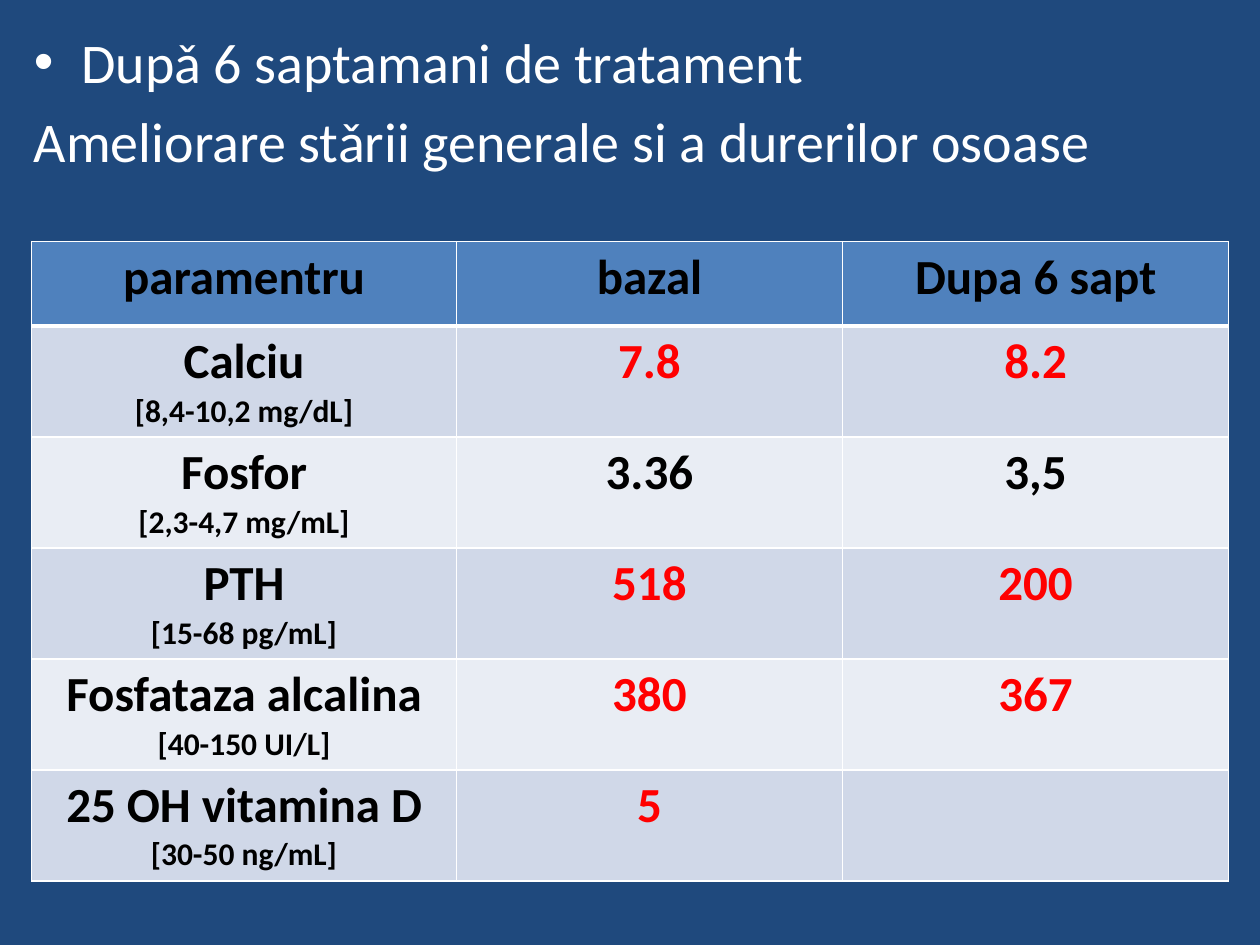
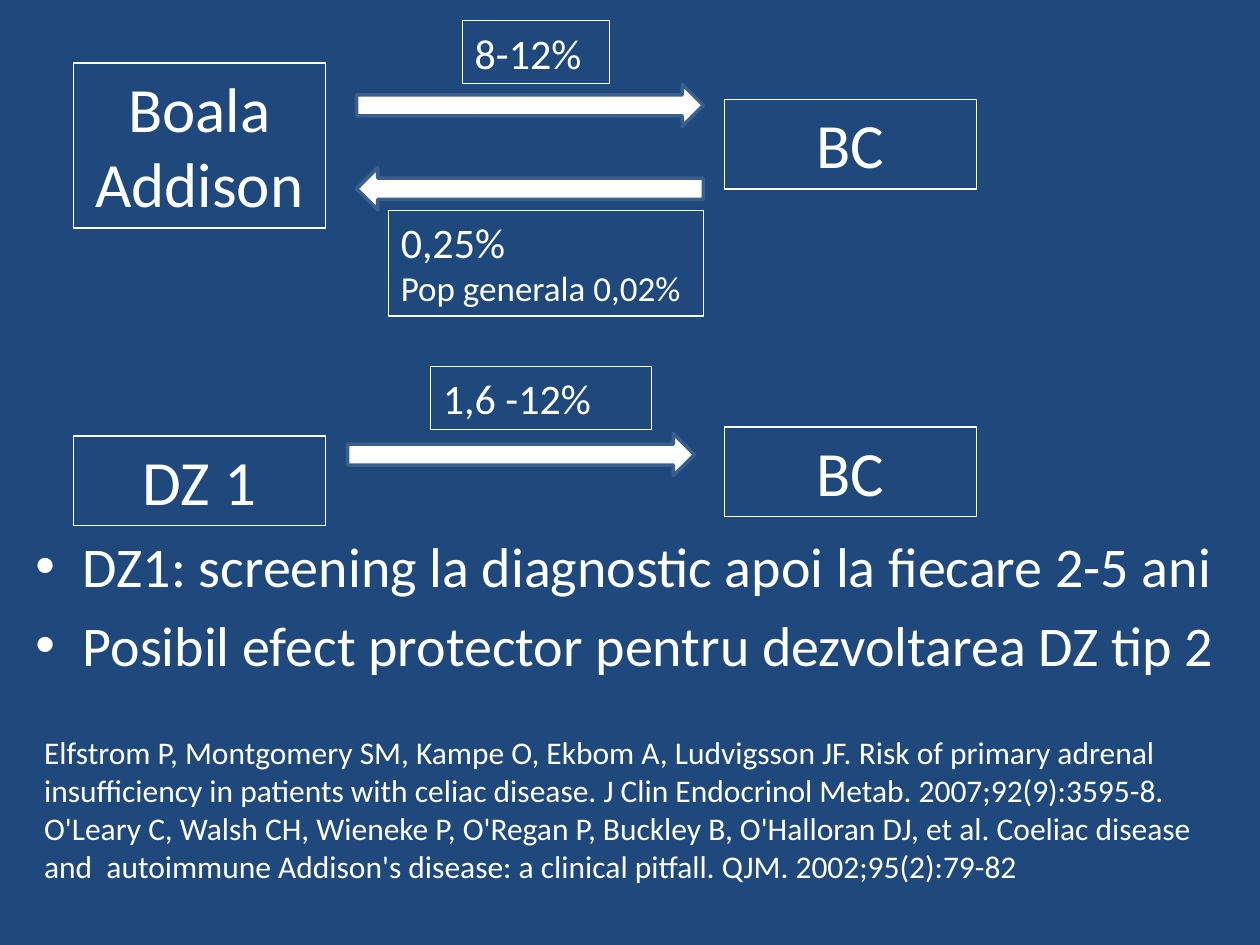
import pptx
import pptx.util
import pptx.dml.color
import pptx.enum.shapes
import pptx.enum.text
import pptx.oxml
import pptx.oxml.ns

Cm, Pt = pptx.util.Cm, pptx.util.Pt
ALIGN = pptx.enum.text.PP_ALIGN
AUTO_SIZE = pptx.enum.text.MSO_AUTO_SIZE

FONT = "Calibri"
NAVY, WHITE, BLACK, RED = "1F497D", "FFFFFF", "000000", "FF0000"
HEADER, BANDS = "4F81BD", ("D0D8E8", "E9EDF4")
ARROW_EDGE = "3A5F8C"

LAB_HEAD = ("paramentru", "bazal", "Dupa 6 sapt")
# Parameter, normal range, baseline, after treatment, colour of the values
LAB_ROWS = (
    ("Calciu", "[8,4-10,2 mg/dL]", "7.8", "8.2", RED),
    ("Fosfor", "[2,3-4,7 mg/mL]", "3.36", "3,5", BLACK),
    ("PTH", "[15-68 pg/mL]", "518", "200", RED),
    ("Fosfataza alcalina", "[40-150 UI/L]", "380", "367", RED),
    ("25 OH vitamina D", "[30-50 ng/mL]", "5", "", RED),
)
REFERENCES = (
    "Elfstrom P, Montgomery SM, Kampe O, Ekbom A, Ludvigsson JF. "
    "Risk of primary adrenal",
    "insufficiency in patients with celiac disease. "
    "J Clin Endocrinol Metab. 2007;92(9):3595-8.",
    "O'Leary C, Walsh CH, Wieneke P, O'Regan P, Buckley B, O'Halloran DJ, et al. "
    "Coeliac disease and  autoimmune Addison's disease: a clinical pitfall. "
    "QJM. 2002;95(2):79-82",
)


def rgb(code):
    return pptx.dml.color.RGBColor.from_string(code)


def write(tf, lines, color=WHITE, bold=None, align=None):
    """Write one paragraph for each (text, size) pair."""
    for i, (text, size) in enumerate(lines):
        p = tf.paragraphs[0] if i == 0 else tf.add_paragraph()
        p.alignment = align
        r = p.add_run()
        r.text = text
        r.font.name = FONT
        r.font.size = Pt(size)
        r.font.bold = bold
        r.font.color.rgb = rgb(color)


def new_slide(prs):
    """Add a slide that keeps only the body placeholder."""
    s = prs.slides.add_slide(prs.slide_layouts[1])
    title = s.shapes.title
    title.element.getparent().remove(title.element)
    return s


def body(s, x, y, w, h, texts, plain=()):
    """Fill the body placeholder; lines numbered in plain get no bullet."""
    sp = s.placeholders[1]
    sp.left, sp.top, sp.width, sp.height = Cm(x), Cm(y), Cm(w), Cm(h)
    tf = sp.text_frame
    tf.auto_size = AUTO_SIZE.NONE
    write(tf, [(text, 32) for text in texts])
    for i in plain:
        pPr = tf.paragraphs[i]._p.get_or_add_pPr()
        pPr.set("marL", "0")
        pPr.set("indent", "0")
        pPr.append(pptx.oxml.parse_xml(
            f'<a:buNone {pptx.oxml.ns.nsdecls("a")}/>'))


def text_box(s, x, y, w, h, lines, align=None, framed=True):
    sp = s.shapes.add_textbox(Cm(x), Cm(y), Cm(w), Cm(h))
    tf = sp.text_frame
    tf.word_wrap = True
    tf.auto_size = AUTO_SIZE.SHAPE_TO_FIT_TEXT
    if framed:
        sp.line.color.rgb = rgb(WHITE)
        sp.line.width = Pt(0.75)
    write(tf, lines, align=align)


def arrow(s, x, y, back=False):
    sp = s.shapes.add_shape(pptx.enum.shapes.MSO_SHAPE.RIGHT_ARROW,
                            Cm(x), Cm(y), Cm(6.99), Cm(0.85))
    sp.shadow.inherit = False
    sp.fill.solid()
    sp.fill.fore_color.rgb = rgb(WHITE)
    sp.line.color.rgb = rgb(ARROW_EDGE)
    sp.line.width = Pt(2)
    sp.rotation = 180 if back else 0


def style_cell(cell, fill, top=1, bottom=1):
    """Fill a cell and draw its white borders, widths in points."""
    cell.fill.solid()
    cell.fill.fore_color.rgb = rgb(fill)
    tcPr = cell._tc.get_or_add_tcPr()
    for i, (side, width) in enumerate(
            (("L", 1), ("R", 1), ("T", top), ("B", bottom))):
        tcPr.insert(i, pptx.oxml.parse_xml(
            f'<a:ln{side} {pptx.oxml.ns.nsdecls("a")} w="{Pt(width)}">'
            f'<a:solidFill><a:srgbClr val="{WHITE}"/></a:solidFill></a:ln{side}>'))


def lab_table(s, x, y, w, h):
    head_h, first_w = 1.7, 8.56
    row_h = (h - head_h) / len(LAB_ROWS)
    value_w = (w - first_w) / 2
    table = s.shapes.add_table(len(LAB_ROWS) + 1, len(LAB_HEAD),
                               Cm(x), Cm(y), Cm(w), Cm(h)).table
    for col, width in zip(table.columns, (first_w, value_w, value_w)):
        col.width = Cm(width)
    for i, row in enumerate(table.rows):
        row.height = Cm(row_h if i else head_h)

    for c, text in enumerate(LAB_HEAD):
        cell = table.cell(0, c)
        style_cell(cell, HEADER, bottom=3)
        write(cell.text_frame, [(text, 28)], BLACK, True, ALIGN.CENTER)
    for i, (name, normal, before, after, color) in enumerate(LAB_ROWS):
        columns = (([(name, 28), (normal, 18)], BLACK),
                   ([(before, 28)], color),
                   ([(after, 28)] if after else [], color))
        for c, (lines, ink) in enumerate(columns):
            cell = table.cell(i + 1, c)
            style_cell(cell, BANDS[i % 2], top=1 if i else 3)
            write(cell.text_frame, lines, ink, True, ALIGN.CENTER)


def relation(s, x, y, diseases, arrows, rates):
    """Place two diseases, the arrows between them and their rates from (x, y)."""
    for name, dx, dy, h in diseases:
        text_box(s, x + dx, y + dy, 5.08, h, [(name, 36)], ALIGN.CENTER)
    for dx, dy, back in arrows:
        arrow(s, x + dx, y + dy, back)
    for dx, dy, w, h, lines in rates:
        text_box(s, x + dx, y + dy, w, h, lines)


def treatment_slide(prs):
    s = new_slide(prs)
    body(s, 0.43, 0.43, 24.33, 3.8,
         ("Dupǎ 6 saptamani de tratament",
          "Ameliorare stǎrii generale si a durerilor osoase"), plain=(1,))
    lab_table(s, 0.64, 4.87, 24.13, 12.88)


def association_slide(prs):
    s = new_slide(prs)
    body(s, 0.46, 10.59, 24.31, 3.8,
         ("DZ1: screening la diagnostic apoi la fiecare 2-5 ani",
          "Posibil efect protector pentru dezvoltarea DZ tip 2"))
    text_box(s, 0.64, 14.66, 23.7, 3.33,
             [(text, 18) for text in REFERENCES], framed=False)
    relation(s, 1.48, 0.42,
             (("Boala Addison", 0, 0.85, 3.33), ("BC", 13.13, 1.59, 1.8)),
             ((5.71, 1.28, False), (5.71, 2.96, True)),
             ((7.84, 0, 2.97, 1.27, [("8-12%", 24)]),
              (6.35, 3.82, 6.35, 2.13,
               [("0,25%", 24), ("Pop generala 0,02%", 20)])))
    relation(s, 1.48, 7.39,
             (("DZ 1", 0, 1.4, 1.8), ("BC", 13.13, 1.22, 1.8)),
             ((5.53, 1.35, False),),
             ((7.2, 0, 4.45, 1.27, [("1,6 -12%", 24)]),))


def main():
    prs = pptx.Presentation()
    prs.slide_width, prs.slide_height = Cm(25.4), Cm(19.05)
    fill = prs.slide_master.background.fill
    fill.solid()
    fill.fore_color.rgb = rgb(NAVY)
    treatment_slide(prs)
    association_slide(prs)
    prs.save("out.pptx")


if __name__ == "__main__":
    main()
